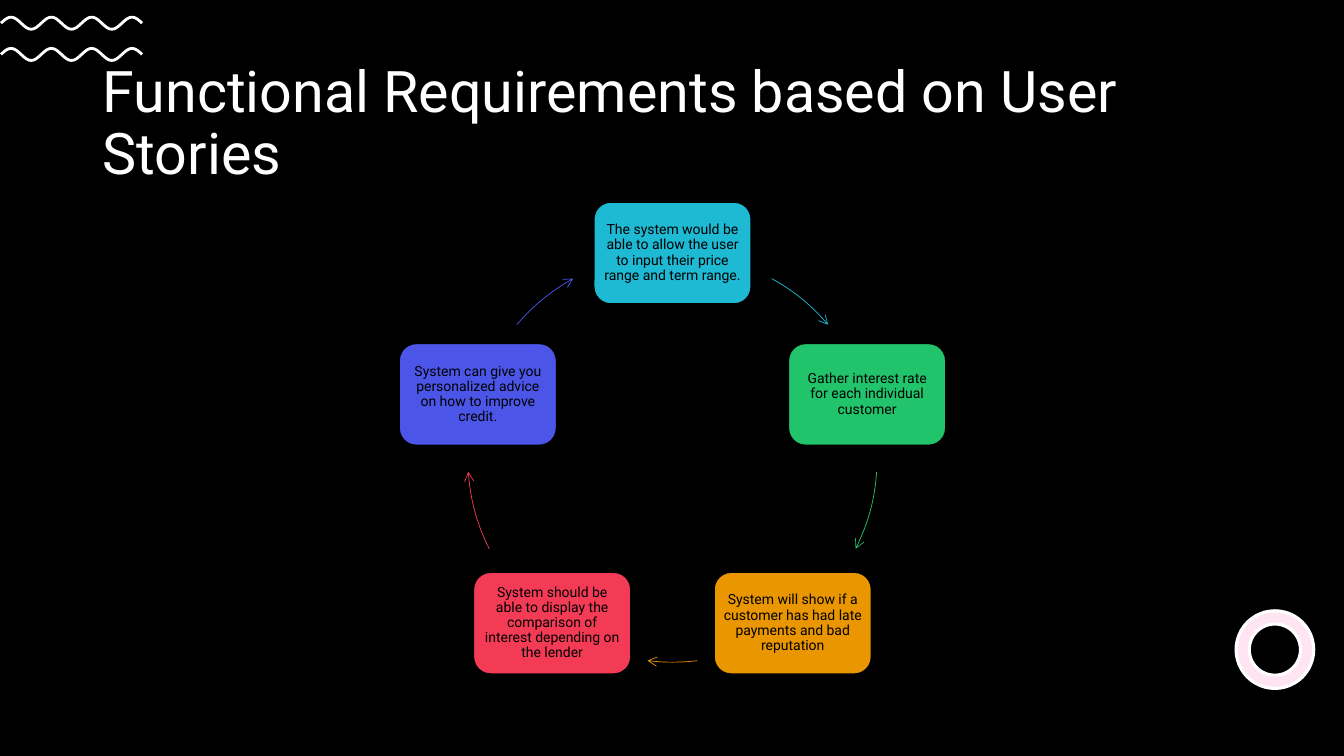
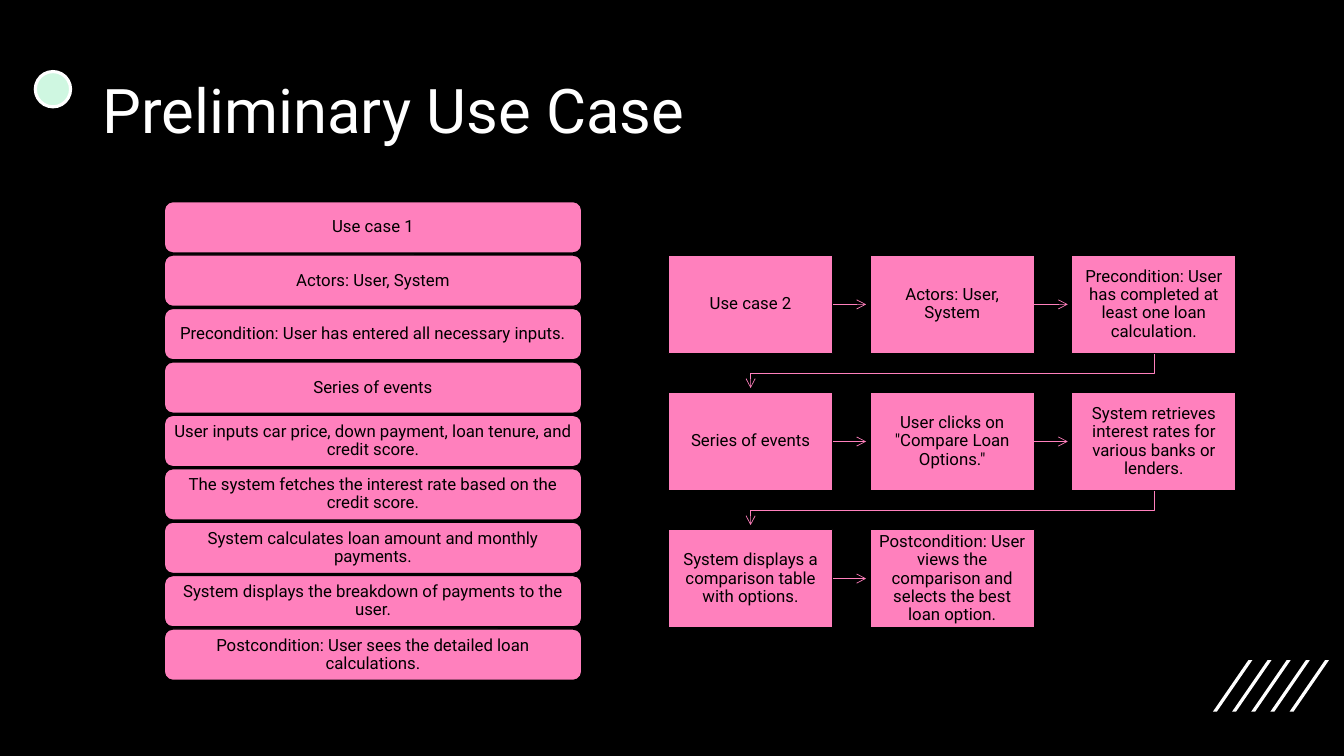
from math import cos, pi, radians, sin

from lxml.etree import SubElement
from pptx import Presentation
from pptx.dml.color import RGBColor
from pptx.enum.shapes import MSO_CONNECTOR, MSO_SHAPE
from pptx.enum.text import MSO_ANCHOR, PP_ALIGN
from pptx.oxml.ns import qn
from pptx.util import Inches, Pt

FONT = "Roboto"
BLACK, WHITE = "000000", "FFFFFF"
PINK, PALE_PINK, MINT = "FF80BD", "FFE5F2", "CFF7E1"

CYCLE_TITLE = "Functional Requirements based on User Stories"
# text, colour, angles where the arrow to the next box starts and ends (clockwise from the top)
CYCLE = [
    ("The system would be able to allow the user to input their price range and term range.",
     "1EB9D3", 29, 49.5),
    ("Gather interest rate for each individual customer", "21C46B", 94, 116.5),
    ("System will show if a customer has had late payments and bad reputation",
     "EA9600", 173, 187),
    ("System should be able to display the comparison of interest depending on the lender",
     "F43B56", 243.5, 266),
    ("System can give you personalized advice on how to improve credit.",
     "4B56E8", 310.5, 331),
]

USE_CASE_TITLE = "Preliminary Use Case"
USE_CASE_1 = [
    "Use case 1",
    "Actors: User, System",
    "Precondition: User has entered all necessary inputs.",
    "Series of events",
    "User inputs car price, down payment, loan tenure, and credit score.",
    "The system fetches the interest rate based on the credit score.",
    "System calculates loan amount and monthly payments.",
    "System displays the breakdown of payments to the user.",
    "Postcondition: User sees the detailed loan calculations.",
]
USE_CASE_2 = [
    "Use case 2",
    "Actors: User, System",
    "Precondition: User has completed at least one loan calculation.",
    "Series of events",
    "User clicks on \"Compare Loan Options.\"",
    "System retrieves interest rates for various banks or lenders.",
    "System displays a comparison table with options.",
    "Postcondition: User views the comparison and selects the best loan option.",
]


def color(value):
    return RGBColor.from_string(value)


def write(shape, text, size, ink=BLACK, align=PP_ALIGN.CENTER, insets=(0.1, 0.05)):
    frame = shape.text_frame
    frame.word_wrap = True
    frame.vertical_anchor = MSO_ANCHOR.MIDDLE
    frame.margin_left = frame.margin_right = Inches(insets[0])
    frame.margin_top = frame.margin_bottom = Inches(insets[1])
    paragraph = frame.paragraphs[0]
    paragraph.alignment = align
    paragraph.line_spacing = 0.9
    run = paragraph.add_run()
    run.text = text
    run.font.name = FONT
    run.font.size = Pt(size)
    run.font.color.rgb = color(ink)


def paint(shape, fill=None, line=None, line_width=1):
    shape.shadow.inherit = False
    if fill:
        shape.fill.solid()
        shape.fill.fore_color.rgb = color(fill)
    else:
        shape.fill.background()
    if line:
        shape.line.color.rgb = color(line)
        shape.line.width = Pt(line_width)
    else:
        shape.line.fill.background()


def add_preset(slide, kind, left, top, width, height, **style):
    shape = slide.shapes.add_shape(
        kind, Inches(left), Inches(top), Inches(width), Inches(height))
    paint(shape, **style)
    return shape


def add_polyline(slide, points, **style):
    start, *rest = [(Inches(x), Inches(y)) for x, y in points]
    builder = slide.shapes.build_freeform(*start)
    builder.add_line_segments(rest, close=False)
    shape = builder.convert_to_shape()
    paint(shape, **style)
    return shape


def add_arrowhead(shape):
    line = shape.element.spPr.find(qn("a:ln"))
    SubElement(line, qn("a:tailEnd"), type="arrow")


def add_straight_arrow(slide, start_x, end_x, y):
    arrow = slide.shapes.add_connector(
        MSO_CONNECTOR.STRAIGHT, Inches(start_x), Inches(y), Inches(end_x), Inches(y))
    arrow.line.color.rgb = color(PINK)
    arrow.line.width = Pt(0.5)
    add_arrowhead(arrow)
    SubElement(arrow.element.spPr, qn("a:effectLst"))


def add_titled_slide(presentation, title, size, top, height):
    slide = presentation.slides.add_slide(presentation.slide_layouts[6])
    slide.background.fill.solid()
    slide.background.fill.fore_color.rgb = color(BLACK)
    box = slide.shapes.add_textbox(Inches(0.92), Inches(top), Inches(11.5), Inches(height))
    write(box, title, size, ink=WHITE, align=PP_ALIGN.LEFT)
    return slide


def add_wave(slide, middle):
    left, period, amplitude, steps = 0.01, 0.4, 0.06, 16
    turns = [step / steps for step in range(int(3.5 * steps) + 1)]
    points = [(left + period * turn, middle - amplitude * sin(2 * pi * turn)) for turn in turns]
    add_polyline(slide, points, line=WHITE, line_width=2)


def add_cycle(slide):
    center_x, center_y, radius = 6.67, 4.54, 2.03
    width, height = 1.56, 1.01
    for index, (text, fill, start, end) in enumerate(CYCLE):
        angle = radians(index * 360 / len(CYCLE))
        box = add_preset(
            slide, MSO_SHAPE.ROUNDED_RECTANGLE,
            center_x + radius * sin(angle) - width / 2,
            center_y - radius * cos(angle) - height / 2,
            width, height, fill=fill, line=BLACK)
        write(box, text, 10, insets=(0.04, 0.04))

        arc = add_preset(slide, MSO_SHAPE.ARC, center_x - radius, center_y - radius,
                         2 * radius, 2 * radius, line=fill, line_width=0.5)
        for position, degrees in enumerate((start, end)):
            # Arc angles run from the right, in units of 1/0.6 degree
            arc.adjustments[position] = (degrees - 90) % 360 * 0.6
        add_arrowhead(arc)


def add_stack(slide):
    for index, text in enumerate(USE_CASE_1):
        box = add_preset(slide, MSO_SHAPE.ROUNDED_RECTANGLE, 1.63, 2 + index * 0.53,
                         4.14, 0.51, fill=PINK, line=BLACK)
        write(box, text, 12, insets=(0.05, 0.03))


def add_flow(slide):
    """Lay the steps out in rows, with an arrow from each to the next."""
    columns, left, top = 3, 6.63, 2.53
    width, height, step_x, step_y = 1.63, 0.98, 2, 1.36
    gap = 0.04
    for index, text in enumerate(USE_CASE_2):
        row, column = divmod(index, columns)
        x, y = left + column * step_x, top + row * step_y
        box = add_preset(slide, MSO_SHAPE.RECTANGLE, x, y, width, height,
                         fill=PINK, line=BLACK)
        write(box, text, 12, insets=(0.08, 0.08))
        if index == len(USE_CASE_2) - 1:
            continue
        if column < columns - 1:
            add_straight_arrow(slide, x + width, x + step_x - gap, y + height / 2)
        else:
            start_x, end_x = x + width / 2, left + width / 2
            bottom, next_top = y + height, y + step_y
            turn = (bottom + next_top) / 2
            arrow = add_polyline(
                slide,
                [(start_x, bottom), (start_x, turn), (end_x, turn), (end_x, next_top - gap)],
                line=PINK, line_width=0.5)
            add_arrowhead(arrow)


def add_stripes(slide):
    for index in range(5):
        stripe = add_preset(slide, MSO_SHAPE.PARALLELOGRAM, 12.03 + index * 0.19, 6.55,
                            0.39, 0.51, fill=WHITE)
        stripe.adjustments[0] = 0.9


def main():
    presentation = Presentation()
    presentation.slide_width = Inches(13.33)
    presentation.slide_height = Inches(7.5)

    slide = add_titled_slide(presentation, CYCLE_TITLE, 41, top=0.62, height=1.23)
    for middle in (0.23, 0.54):
        add_wave(slide, middle)
    ring = add_preset(slide, MSO_SHAPE.DONUT, 12.26, 6.06, 0.77, 0.77,
                      fill=PALE_PINK, line=WHITE, line_width=2.25)
    ring.adjustments[0] = 0.17
    add_cycle(slide)

    slide = add_titled_slide(presentation, USE_CASE_TITLE, 44, top=0.4, height=1.45)
    add_stripes(slide)
    add_preset(slide, MSO_SHAPE.OVAL, 0.35, 0.71, 0.35, 0.35,
               fill=MINT, line=WHITE, line_width=2.25)
    add_stack(slide)
    add_flow(slide)

    presentation.save("out.pptx")


if __name__ == "__main__":
    main()
